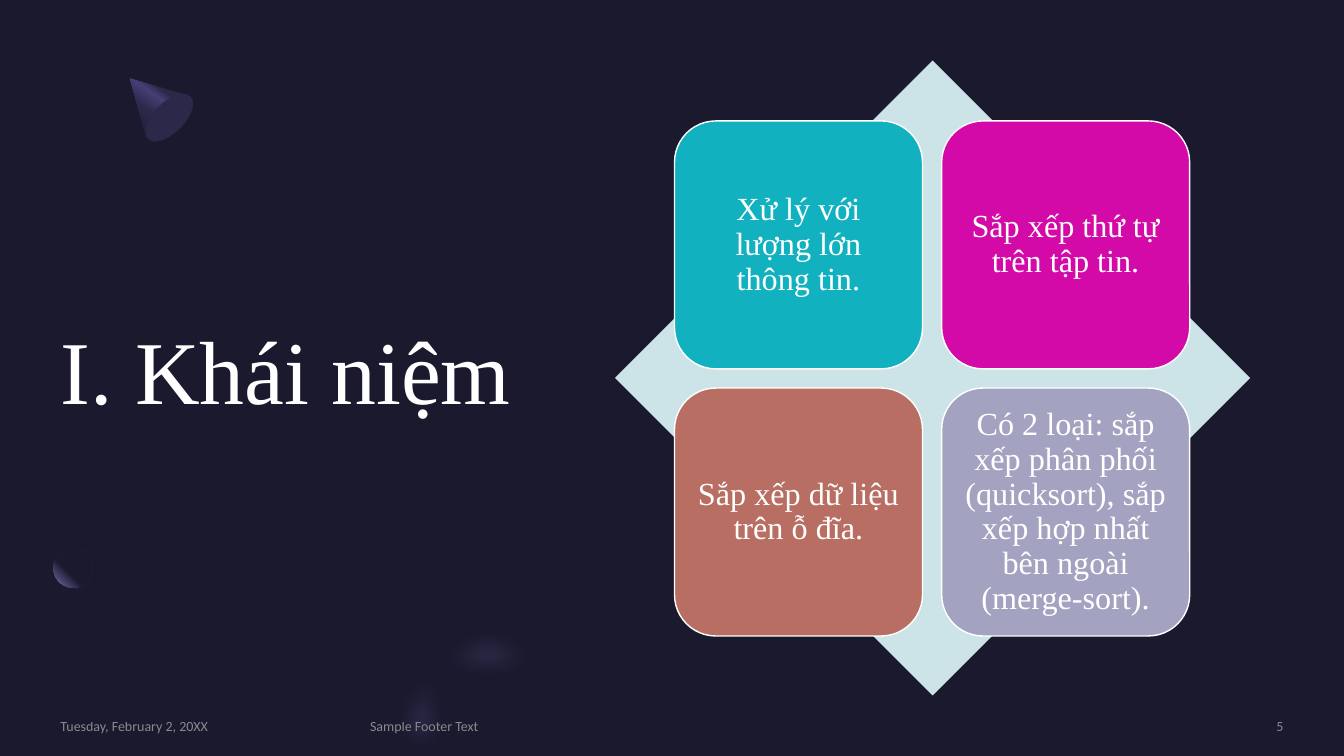
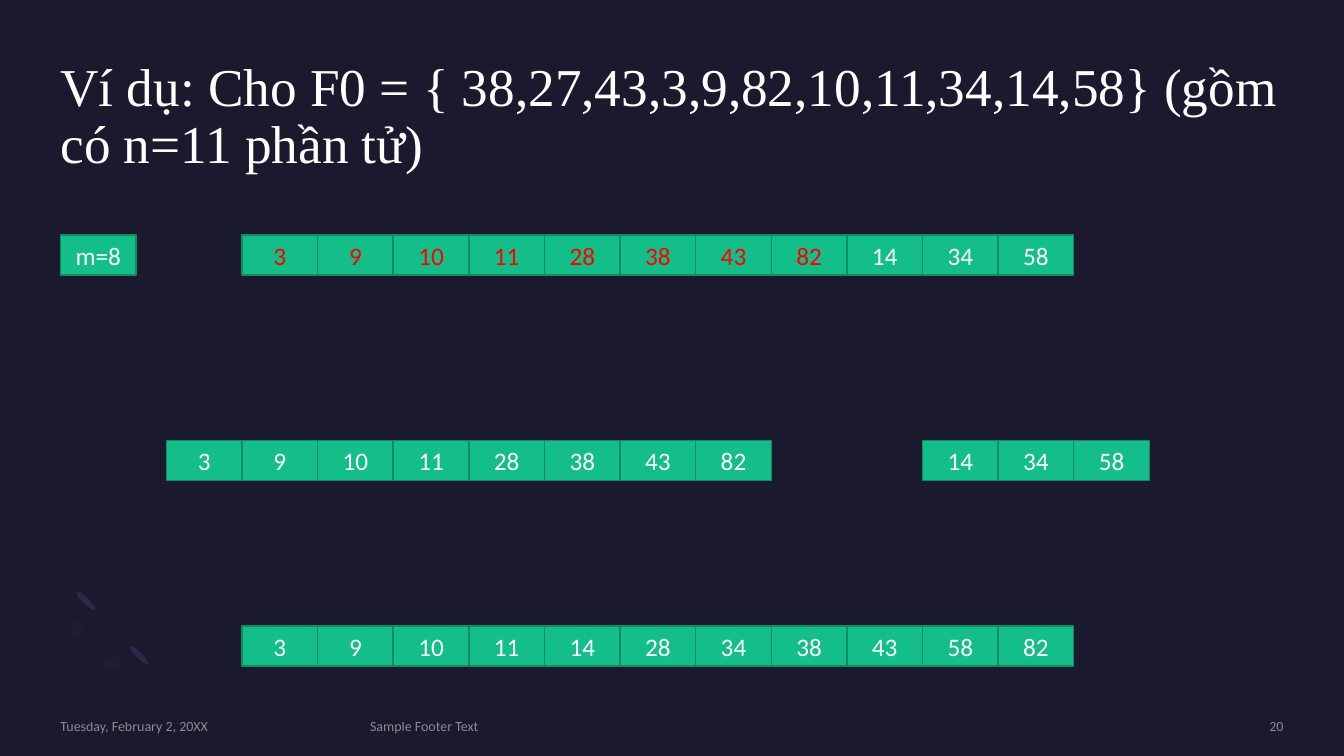
from lxml import etree
from pptx import Presentation
from pptx.dml.color import RGBColor
from pptx.enum.shapes import MSO_SHAPE
from pptx.enum.text import MSO_ANCHOR, PP_ALIGN
from pptx.oxml import parse_xml
from pptx.oxml.ns import nsdecls, qn
from pptx.util import Pt

PX = 9144  # EMU per px, 100 px to the inch
RECT, ROUNDED = MSO_SHAPE.RECTANGLE, MSO_SHAPE.ROUNDED_RECTANGLE
DIAMOND, OVAL = MSO_SHAPE.DIAMOND, MSO_SHAPE.OVAL
TOP, MIDDLE = MSO_ANCHOR.TOP, MSO_ANCHOR.MIDDLE
LEFT, CENTER, RIGHT = PP_ALIGN.LEFT, PP_ALIGN.CENTER, PP_ALIGN.RIGHT

SERIF, SANS = "Times New Roman", "Calibri"
NIGHT, INDIGO, VIOLET, LILAC = "1B192E", "2C284A", "454075", "7771B2"
WHITE, GREY, RED = "FFFFFF", "A6A6A6", "FF0000"
GREEN, GREEN_EDGE, PALE = "13BE89", "0E8D65", "CCE4E8"

MARGIN = 60
CELL_WIDTH, CELL_HEIGHT = 75, 40
FIRST_COLUMN = 165
TILE, TILE_STEP = 246, 265
CURVE_STEPS = 12

TILES = [
    ("Xử lý với lượng lớn thông tin.", "12B1BF"),
    ("Sắp xếp thứ tự trên tập tin.", "D40AA8"),
    ("Sắp xếp dữ liệu trên ỗ đĩa.", "B86E62"),
    ("Có 2 loại: sắp xếp phân phối (quicksort), sắp xếp hợp nhất "
     "bên ngoài (merge-sort).", "A3A3C1"),
]

# Outlines: a pair is a line to a point, six numbers are a cubic curve.
CONE = [(129, 78), (185, 94), (186, 94), (187, 95, 188, 95, 188, 96),
        (194, 102, 189, 116, 178, 127), (166, 139, 152, 143, 147, 138),
        (146, 137, 145, 136, 145, 135)]
LARGE_ARC = [(480, 621), (511, 619, 543, 632, 568, 657), (533, 693),
             (510, 670, 476, 668, 456, 688), (442, 703, 439, 726, 448, 746),
             (450, 750), (394, 750), (392, 743),
             (384, 708, 391, 672, 416, 648), (433, 630, 456, 621, 480, 621)]
SMALL_ARC = [(76, 659), (56, 639, 58, 605, 81, 582), (99, 600),
             (87, 611, 86, 629, 96, 638), (106, 648, 123, 647, 135, 636),
             (152, 654), (130, 676, 95, 679, 76, 659)]


def rgb(value):
    return RGBColor.from_string(value)


def emu(*lengths):
    return [round(length * PX) for length in lengths]


def set_alpha(element, percent):
    for color in element.iter(qn("a:srgbClr")):
        etree.SubElement(color, qn("a:alpha")).set("val", str(percent * 1000))


def finish(shape, fill, line=None):
    shape.shadow.inherit = False
    shape.fill.solid()
    shape.fill.fore_color.rgb = rgb(fill)
    if line:
        shape.line.color.rgb = rgb(line)
        shape.line.width = Pt(1)
    else:
        shape.line.fill.background()
    return shape


def add_figure(page, kind, box, fill, line=None, rotation=0):
    shape = finish(page.shapes.add_shape(kind, *emu(*box)), fill, line)
    shape.rotation = rotation
    return shape


def add_outline(page, outline, fill):
    points = [outline[0]]
    for step in outline[1:]:
        if len(step) == 2:
            points.append(step)
            continue
        x0, y0 = points[-1]
        x1, y1, x2, y2, x3, y3 = step
        for i in range(1, CURVE_STEPS + 1):
            t = i / CURVE_STEPS
            a, b, c, d = (1 - t) ** 3, 3 * t * (1 - t) ** 2, 3 * t * t * (1 - t), t ** 3
            points.append((a * x0 + b * x1 + c * x2 + d * x3,
                           a * y0 + b * y1 + c * y2 + d * y3))
    builder = page.shapes.build_freeform(*emu(*points[0]), scale=1.0)
    builder.add_line_segments([emu(*point) for point in points[1:]], close=True)
    return finish(builder.convert_to_shape(), fill)


def set_gradient(shape, stops, direction):
    """Replace the solid fill; direction is the a:lin or a:path element as text."""
    marks = "".join(f'<a:gs pos="{place * 1000}"><a:srgbClr val="{color}"/></a:gs>'
                    for place, color in stops)
    gradient = parse_xml(f'<a:gradFill {nsdecls("a")} rotWithShape="1">'
                         f"<a:gsLst>{marks}</a:gsLst>{direction}</a:gradFill>")
    properties = shape.element.spPr
    properties.replace(properties.find(qn("a:solidFill")), gradient)


def add_soft_arc(page, outline, alpha, radius):
    arc = add_outline(page, outline, LILAC)
    set_alpha(arc.element, alpha)
    effects = arc.element.spPr.find(qn("a:effectLst"))
    etree.SubElement(effects, qn("a:softEdge")).set("rad", str(Pt(radius)))


def write(shape, text, size, font=SANS, color=WHITE, align=CENTER,
          anchor=MIDDLE, inset=0, spacing=1.0):
    frame = shape.text_frame
    frame.word_wrap = True
    frame.vertical_anchor = anchor
    frame.margin_left = frame.margin_right = inset * PX
    frame.margin_top = frame.margin_bottom = inset * PX
    para = frame.paragraphs[0]
    para.alignment = align
    para.line_spacing = spacing
    span = para.add_run()
    span.text = text
    span.font.size = Pt(size)
    span.font.name = font
    span.font.color.rgb = rgb(color)


def add_text(page, box, text, size, **style):
    shape = page.shapes.add_textbox(*emu(*box))
    write(shape, text, size, **style)
    return shape


def add_title(page, box, text, size, anchor):
    add_text(page, box, text, size, font=SERIF, align=LEFT, anchor=anchor, spacing=0.9)


def add_page(deck, number):
    """Add a blank page with the dark background and the footer line."""
    page = deck.slides.add_slide(deck.slide_layouts[6])
    page.background.fill.solid()
    page.background.fill.fore_color.rgb = rgb(NIGHT)
    for left, width, text, align in (
            (MARGIN, 288, "Tuesday, February 2, 20XX", LEFT),
            (367, 698, "Sample Footer Text", LEFT),
            (1088, 185, str(number), RIGHT)):
        footer = add_text(page, (left, 712, width, 17), text, 10, color=GREY, align=align)
        set_alpha(footer.element, 80)
    return page


def add_cell(page, left, top, text, color=WHITE):
    cell = add_figure(page, RECT, (left, top, CELL_WIDTH, CELL_HEIGHT), GREEN, GREEN_EDGE)
    write(cell, text, 18, color=color, inset=5)


def add_cell_row(page, column, top, values, red_count=0):
    for i, value in enumerate(values):
        add_cell(page, FIRST_COLUMN + (column + i) * CELL_WIDTH, top, str(value),
                 RED if i < red_count else WHITE)


def build_concept(deck):
    page = add_page(deck, 5)
    cone = add_outline(page, CONE, INDIGO)
    set_gradient(cone, [(30, INDIGO), (40, VIOLET), (60, INDIGO), (100, NIGHT)],
                 f'<a:lin ang="{125 * 60000}" scaled="0"/>')
    add_figure(page, OVAL, (153, 87, 30, 59), INDIGO, rotation=45)
    ball = add_figure(page, OVAL, (53, 544, 39, 39), NIGHT)
    set_gradient(ball, [(60, NIGHT), (100, LILAC)],
                 '<a:path path="circle"><a:fillToRect l="100000" b="100000"/></a:path>')
    add_soft_arc(page, LARGE_ARC, 40, 15)
    add_title(page, (MARGIN, 166, 496, 413), "I. Khái niệm", 64, MIDDLE)

    add_figure(page, DIAMOND, (610, 60, 630, 630), PALE)
    for i, (text, fill) in enumerate(TILES):
        row, column = divmod(i, 2)
        box = (669 + column * TILE_STEP, 120 + row * TILE_STEP, TILE, TILE)
        tile = add_figure(page, ROUNDED, box, fill, WHITE)
        write(tile, text, 23, font=SERIF, inset=10, spacing=0.9)


def build_example(deck):
    page = add_page(deck, 20)
    for left, top in ((135, 637), (82, 583)):
        add_figure(page, OVAL, (left, top, 6, 26), INDIGO, rotation=135)
    add_soft_arc(page, SMALL_ARC, 20, 8)
    add_title(page, (MARGIN, 60, 1213, 146),
              "Ví dụ: Cho F0 = { 38,27,43,3,9,82,10,11,34,14,58} (gồm có n=11 phần tử)",
              38, TOP)

    first_run = [3, 9, 10, 11, 28, 38, 43, 82]
    second_run = [14, 34, 58]
    add_cell(page, MARGIN, 233, "m=8")
    add_cell_row(page, 1, 233, first_run + second_run, red_count=len(first_run))
    add_cell_row(page, 0, 437, first_run)
    add_cell_row(page, 10, 437, second_run)
    add_cell_row(page, 1, 621, sorted(first_run + second_run))


def main():
    deck = Presentation()
    deck.slide_width, deck.slide_height = emu(1333, 750)
    build_concept(deck)
    build_example(deck)
    deck.save("out.pptx")


if __name__ == "__main__":
    main()
